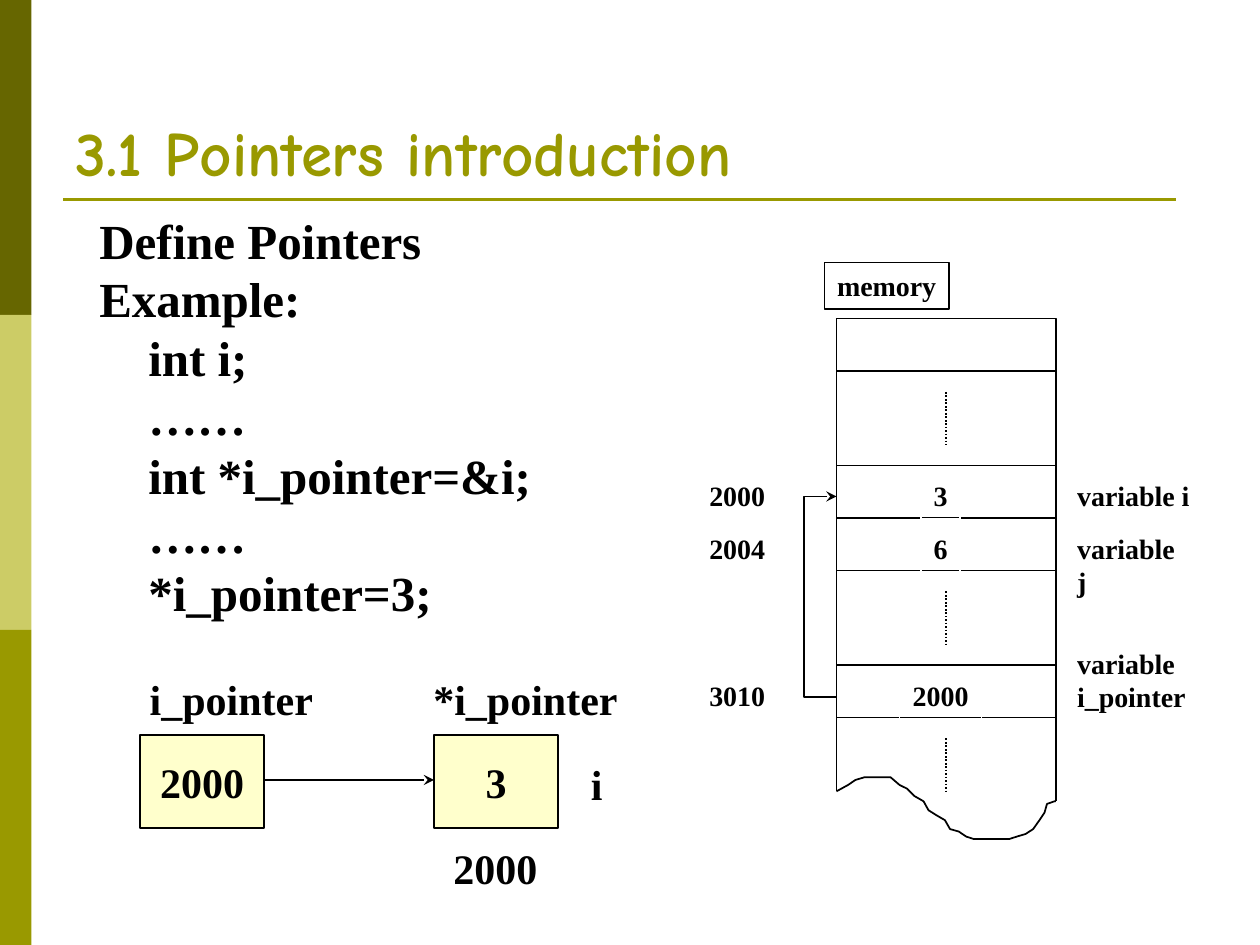
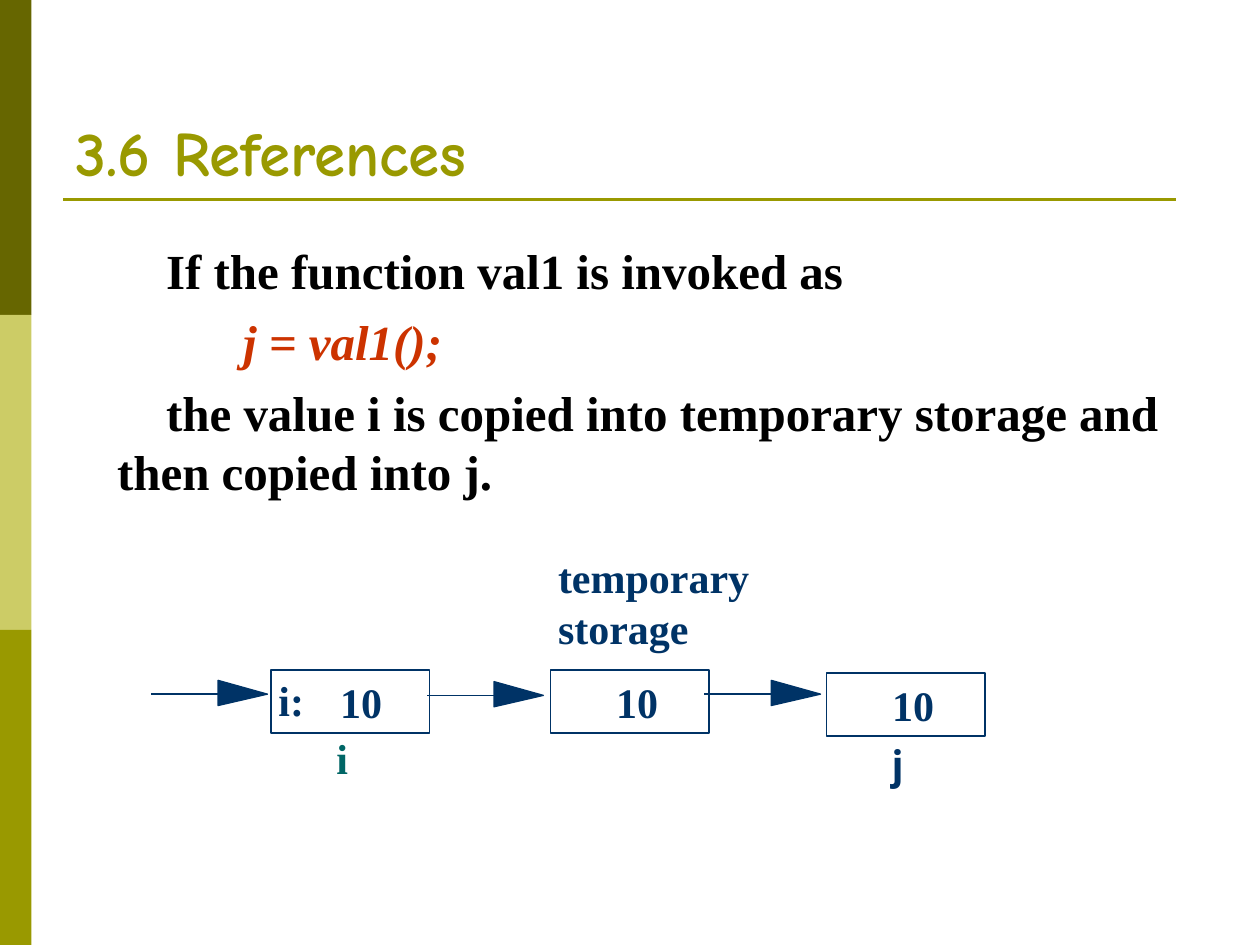
from itertools import accumulate

from lxml import etree
from pptx import Presentation
from pptx import util as u
from pptx.dml.color import RGBColor
from pptx.enum import dml, shapes, text
from pptx.oxml import ns

Pt = u.Pt
COLOURS = {
    "dark": "666600", "pale": "CCCC66", "olive": "999900", "black": "000000",
    "white": "FFFFFF", "cream": "FFFFCC", "navy": "003366", "teal": "006666",
    "red": "CC3300",
}
SERIF = "Times New Roman"
LEFT, CENTRE = text.PP_ALIGN.LEFT, text.PP_ALIGN.CENTER
TOP, MIDDLE, BOTTOM = (text.MSO_ANCHOR.TOP, text.MSO_ANCHOR.MIDDLE,
                       text.MSO_ANCHOR.BOTTOM)
DEFAULT_INSETS = (7.2, 3.6)
CELL_HEIGHT = 26.6

MEMORY_LEFT, MEMORY_TOP, MEMORY_WIDTH = 478, 182, 125.4
MEMORY_RIGHT = MEMORY_LEFT + MEMORY_WIDTH
ROW_HEIGHTS = (30, 54, 30, 30, 54, 30)
TORN_EDGE = [
    (478, 452.2), (484.6, 448.6), (488.9, 445.7), (493.9, 444.2), (509, 444.2),
    (514.1, 448.6), (518.4, 450.7), (522.7, 455), (527.8, 457.9), (530.6, 463),
    (535, 465.8), (540, 468.7), (542.9, 473.8), (547.9, 475.2), (552.2, 478.1),
    (556.6, 479.5), (576.7, 479.5), (581, 478.1), (586.1, 476.6), (590.4, 473.8),
    (594, 468.7), (596.9, 464.4), (598.3, 459.4), (602.6, 457.9),
    (MEMORY_RIGHT, 457.9),
]


def colour(name):
    return RGBColor.from_string(COLOURS[name])


def style_shape(shape, fill=None, line=None, width=1):
    shape.shadow.inherit = False
    if fill:
        shape.fill.solid()
        shape.fill.fore_color.rgb = colour(fill)
    else:
        shape.fill.background()
    if line:
        shape.line.color.rgb = colour(line)
        shape.line.width = Pt(width)
    else:
        shape.line.fill.background()


def add_box(page, left, top, width, height, fill=None, line=None, weight=1):
    box = page.shapes.add_shape(shapes.MSO_SHAPE.RECTANGLE, Pt(left), Pt(top),
                                Pt(width), Pt(height))
    style_shape(box, fill, line, weight)
    return box


def set_text(box, words, size, ink="black", align=LEFT, anchor=TOP, font=SERIF,
             insets=DEFAULT_INSETS, wrap=False):
    """Fill a box with bold text; serif lines are 1.2 times the type size."""
    frame = box.text_frame
    frame.text = words
    frame.word_wrap = wrap
    frame.vertical_anchor = anchor
    frame.margin_left = frame.margin_right = Pt(insets[0])
    frame.margin_top = frame.margin_bottom = Pt(insets[1])
    for para in frame.paragraphs:
        para.alignment = align
        if font == SERIF:
            para.line_spacing = Pt(size * 1.2)
        para.font.name = font
        para.font.size = Pt(size)
        para.font.bold = True
        para.font.color.rgb = colour(ink)
    return frame


def add_label(page, words, left, top, width, height, size, **style):
    box = page.shapes.add_textbox(Pt(left), Pt(top), Pt(width), Pt(height))
    return set_text(box, words, size, **style)


def indent(para, first_line, margin=0):
    properties = para._p.get_or_add_pPr()
    properties.set("marL", str(Pt(margin)))
    properties.set("indent", str(Pt(first_line)))


def add_arrowhead(shape):
    line = shape.line._get_or_add_ln()
    etree.SubElement(line, ns.qn("a:tailEnd"), type="stealth")


def add_line(page, x1, y1, x2, y2, ink="black", width=1):
    line = page.shapes.add_connector(shapes.MSO_CONNECTOR.STRAIGHT,
                                     Pt(x1), Pt(y1), Pt(x2), Pt(y2))
    line.line.color.rgb = colour(ink)
    line.line.width = Pt(width)
    etree.SubElement(line._element.spPr, ns.qn("a:effectLst"))
    return line


def add_outline(page, points, closed=False, fill=None, line="black", width=1):
    corners = [(Pt(x), Pt(y)) for x, y in points]
    builder = page.shapes.build_freeform(*corners[0])
    builder.add_line_segments(corners[1:], close=closed)
    outline = builder.convert_to_shape()
    style_shape(outline, fill, line, width)
    return outline


def add_page(deck, title):
    page = deck.slides.add_slide(deck.slide_layouts[6])
    for index, shade in enumerate(("dark", "pale", "olive")):
        add_box(page, 0, 180 * index, 18, 180, shade)
    add_line(page, 36, 114, 672, 114, "olive", 1.5)
    add_label(page, title, 36, 21.6, 648, 90, 36, ink="olive", anchor=BOTTOM,
              font="Comic Neue", wrap=True)
    return page


def add_pointer_diagram(page):
    for words, left in (("2000", 80), ("3", 248)):
        box = add_box(page, left, 420, 71, 53, "cream", "black")
        set_text(box, words, 24, align=CENTRE, anchor=MIDDLE)
    add_arrowhead(add_line(page, 151, 445.7, 248, 445.7))
    for words, left, top, width in (("i_pointer", 78.5, 381.6, 108),
                                    ("*i_pointer", 240.5, 381.6, 120),
                                    ("i", 330.5, 430, 21),
                                    ("2000", 252, 478, 62.6)):
        add_label(page, words, left, top, width, 36, 24)


def add_memory_diagram(page):
    edges = list(accumulate(ROW_HEIGHTS, initial=MEMORY_TOP))
    bottom = edges[-1]
    middle = MEMORY_LEFT + MEMORY_WIDTH / 2
    add_box(page, MEMORY_LEFT, MEMORY_TOP, MEMORY_WIDTH, sum(ROW_HEIGHTS),
            "white", "black")
    for edge in edges[1:-1]:
        add_line(page, MEMORY_LEFT, edge, MEMORY_RIGHT, edge)
    for x, y in (TORN_EDGE[0], TORN_EDGE[-1]):
        add_line(page, x, bottom, x, y)
    add_outline(page, TORN_EDGE)
    for gap_top in (edges[1], edges[4], bottom):
        dots = add_line(page, middle, gap_top + 12, middle, gap_top + 42)
        dots.line.dash_style = dml.MSO_LINE.ROUND_DOT

    heading = add_box(page, 471, 150, 71.3, CELL_HEIGHT, line="black", weight=0.75)
    set_text(heading, "memory", 16, align=CENTRE)
    cells = ((edges[2], "2000", "3", 22.4), (edges[3], "2004", "6", 22.4),
             (edges[5], "3010", "2000", 46.8))
    for row, address, value, width in cells:
        add_label(page, address, 398.2, row + 4, 46.8, CELL_HEIGHT, 16)
        cell = add_box(page, 537.5 - width / 2, row + 4, width, CELL_HEIGHT,
                       line="white", weight=0.75)
        set_text(cell, value, 16, align=CENTRE)
    for words, top, height in (("variable i", 270, CELL_HEIGHT),
                               ("variable j", 300, CELL_HEIGHT),
                               ("variable\ni_pointer", 365.8, 45.4)):
        add_label(page, words, 608.4, top, 79, height, 16)

    source, target, bend = 398.2, 283.7, 459.4
    add_arrowhead(add_outline(page, [(MEMORY_LEFT, source), (bend, source),
                                     (bend, target), (MEMORY_LEFT, target)]))


def add_pointers_page(deck):
    page = add_page(deck, "3.1 Pointers introduction")
    code = ["int i;", "……", "int *i_pointer=&i;", "……", "*i_pointer=3;"]
    frame = add_label(page, "\n".join(["Define Pointers", "Example:"] + code),
                      49.7, 116.6, 276.5, 255, 28, wrap=True)
    for para in frame.paragraphs[2:]:
        indent(para, 0, margin=28)
    add_pointer_diagram(page)
    add_memory_diagram(page)


def add_block_arrow(page, left, y):
    neck = left + 38.2
    add_outline(page, [(neck + 28.2, y), (neck, y - 7.9), (neck, y + 6.5)],
                closed=True, fill="navy", line="navy", width=0.75)
    add_line(page, left, y, neck, y, "navy")


def add_storage_diagram(page):
    for left, top, number_left in ((154.8, 383, 194.4), (314.6, 383, 352),
                                   (472.3, 384.5, 509.8)):
        box = add_box(page, left, top, 90.7, 36, "white", "navy")
        if number_left == 194.4:
            set_text(box, "i:", 24, ink="navy", insets=(4.3, 2.2), wrap=True)
        add_label(page, "10", number_left, top + 3.6, 30.2, 36, 24, ink="navy",
                  insets=(0, 0), wrap=True)
    add_label(page, "temporary\nstorage", 314.6, 313.2, 175.7, 76.3, 24,
              ink="navy", insets=(4.3, 2.2), wrap=True)
    for words, left, top, ink, font in (("i", 192.2, 418.3, "teal", SERIF),
                                        ("j", 509.8, 421.9, "navy", "Roboto")):
        add_label(page, words, left, top, 18, 42.5, 24, ink=ink, font=font,
                  insets=(0, 0), wrap=True)
    for left, y in ((86.4, 396.7), (244.1, 397.4), (402.5, 396.7)):
        add_block_arrow(page, left, y)


def add_references_page(deck):
    page = add_page(deck, "3.6 References")
    sentences = [
        "If the function val1 is invoked as",
        "j = val1();",
        "the value i is copied into temporary storage and then copied into j.",
    ]
    frame = add_label(page, "\n".join(sentences), 59.8, 133.9, 611.3, 163.4, 28,
                      wrap=True)
    for para, first_line in zip(frame.paragraphs, (28, 72, 28)):
        indent(para, first_line)
    for para in frame.paragraphs[1:]:
        para.space_before = Pt(7)
    call = frame.paragraphs[1].runs[0]
    call.font.italic = True
    call.font.color.rgb = colour("red")
    add_storage_diagram(page)


def main():
    deck = Presentation()
    deck.slide_width, deck.slide_height = Pt(720), Pt(540)
    add_pointers_page(deck)
    add_references_page(deck)
    deck.save("out.pptx")


if __name__ == "__main__":
    main()
